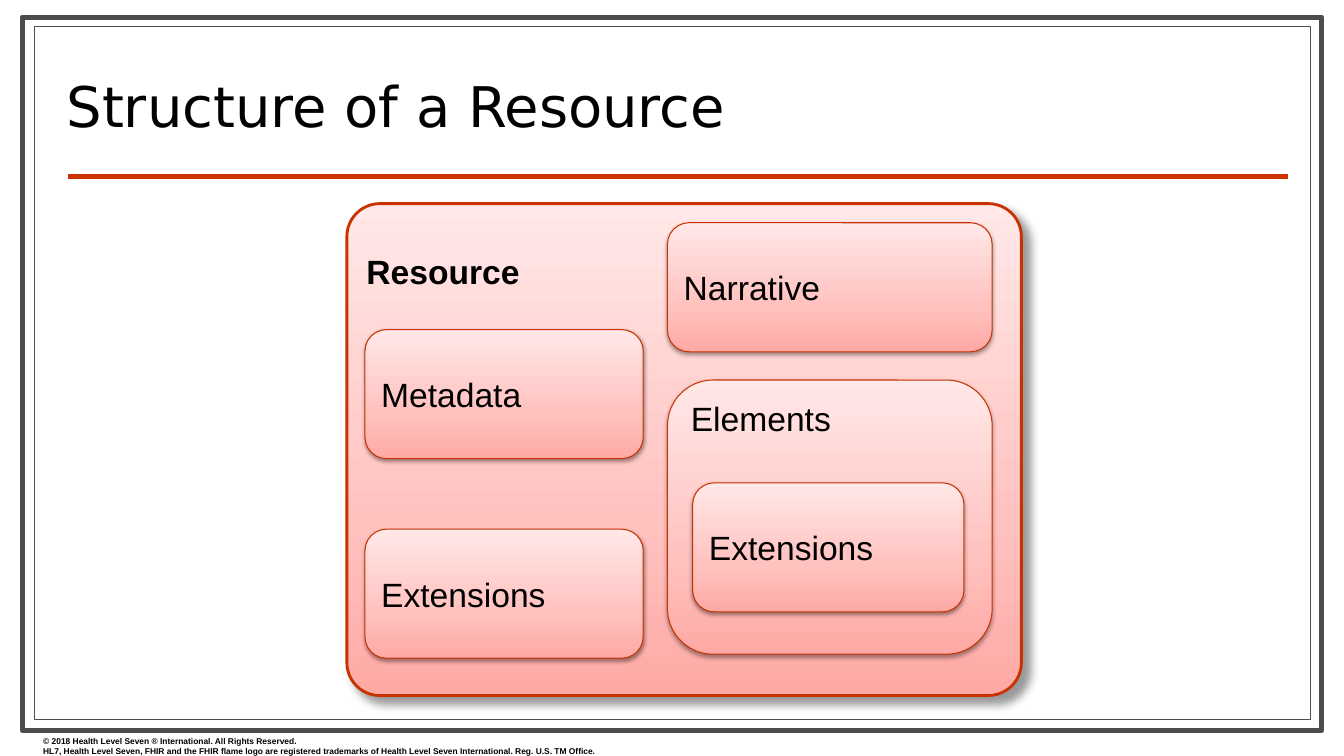
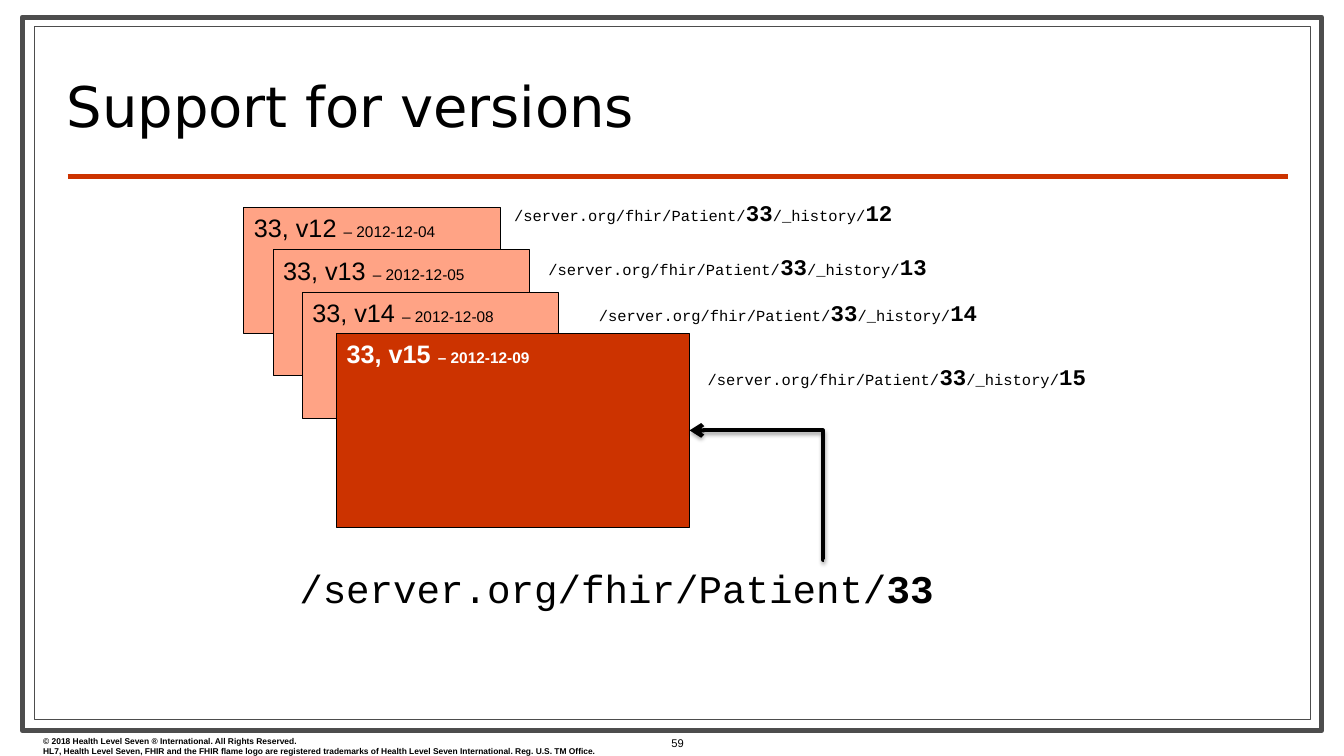
from dataclasses import dataclass

import lxml.etree
import pptx
import pptx.dml.color
import pptx.enum.shapes
import pptx.enum.text
import pptx.oxml
import pptx.oxml.ns
import pptx.util

Inches = pptx.util.Inches
Pt = pptx.util.Pt
RGB = pptx.dml.color.RGBColor.from_string
MSO_SHAPE = pptx.enum.shapes.MSO_SHAPE
MSO_CONNECTOR = pptx.enum.shapes.MSO_CONNECTOR
MSO_ANCHOR = pptx.enum.text.MSO_ANCHOR
PP_ALIGN = pptx.enum.text.PP_ALIGN
qn = pptx.oxml.ns.qn


@dataclass(frozen=True)
class Theme:
    black: str = "000000"
    white: str = "FFFFFF"
    frame: str = "4D4D4D"
    accent: str = "CC3300"
    outline: str = "C83200"
    old_version: str = "FFA385"
    gradient: tuple = ((0, "FFA9A5"), (35, "FFC2BF"), (100, "FFE8E7"))
    title_font: str = "DejaVu Sans"
    body_font: str = "Arial"
    code_font: str = "Courier New"
    title_size: int = 40
    code_size: int = 28
    box_size: int = 24
    version_size: int = 18
    key_size: int = 16
    detail_size: int = 11
    number_size: int = 8
    footer_size: int = 6


theme = Theme()


def write(shape, paragraphs, color=theme.black, font=theme.body_font, alignment=PP_ALIGN.LEFT, **frame_format):
    frame_format = {"word_wrap": True, "vertical_anchor": MSO_ANCHOR.TOP} | frame_format
    for name, value in frame_format.items():
        setattr(shape.text_frame, name, value)
    for index, runs in enumerate(paragraphs):
        paragraph = shape.text_frame.paragraphs[0] if index == 0 else shape.text_frame.add_paragraph()
        paragraph.alignment = alignment
        for text, size, bold in runs:
            run = paragraph.add_run()
            run.text = text
            for name, value in {"name": font, "size": Pt(size), "bold": bold}.items():
                setattr(run.font, name, value)
            run.font.color.rgb = RGB(color)


def add_effects(shape, shadow=None):
    effects = lxml.etree.SubElement(shape.element.spPr, qn("a:effectLst"))
    if shadow:
        opacity, blur, distance, angle = shadow
        outer = lxml.etree.SubElement(
            effects, qn("a:outerShdw"), blurRad=str(Pt(blur)), dist=str(Pt(distance)),
            dir=str(angle * 60000), algn="ctr", rotWithShape="0")
        shade = lxml.etree.SubElement(outer, qn("a:srgbClr"), val=theme.black)
        lxml.etree.SubElement(shade, qn("a:alpha"), val=str(opacity * 1000))


presentation = pptx.Presentation()
presentation.slide_width = Inches(13.33)
presentation.slide_height = Inches(7.5)
layout = presentation.slide_layouts[5]

for placeholder in list(layout.placeholders):
    if placeholder.placeholder_format.idx:
        placeholder.element.getparent().remove(placeholder.element)
layout_title = layout.placeholders[0]
title_box = {"left": 0.56, "top": 0.52, "width": 10.2, "height": 0.9}
for name, value in title_box.items():
    setattr(layout_title, name, Inches(value))

slides = []
for title in ("Structure of a Resource", "Support for versions"):
    slide = presentation.slides.add_slide(layout)
    write(slide.shapes.title, [[(title, theme.title_size, False)]], font=theme.title_font,
          vertical_anchor=MSO_ANCHOR.BOTTOM, auto_size=pptx.enum.text.MSO_AUTO_SIZE.NONE)
    slide.shapes.title.text_frame.paragraphs[0].line_spacing = 0.8
    slides.append(slide)
structure, versions = slides

shared = []
for box, width in (((0.22, 0.17, 12.89, 7.08), 3.5), ((0.34, 0.26, 12.66, 6.88), 0.75)):
    border = structure.shapes.add_shape(MSO_SHAPE.RECTANGLE, *map(Inches, box))
    border.fill.solid()
    border.fill.fore_color.rgb = RGB(theme.white)
    border.line.color.rgb = RGB(theme.frame)
    border.line.width = Pt(width)
    add_effects(border)
    shared.append(border)

rule = structure.shapes.add_connector(MSO_CONNECTOR.STRAIGHT, *map(Inches, (0.67, 1.75, 12.77, 1.75)))
rule.line.color.rgb = RGB(theme.accent)
rule.line.width = Pt(3)
add_effects(rule)
shared.append(rule)

footer = structure.shapes.add_textbox(*map(Inches, (0.33, 7.25, 6.44, 0.3)))
footer_lines = (
    "© 2018 Health Level Seven ® International. All Rights Reserved.",
    "HL7, Health Level Seven, FHIR and the FHIR flame logo are registered trademarks of "
    "Health Level Seven International. Reg. U.S. TM Office.",
)
write(footer, [[(line, theme.footer_size, True)] for line in footer_lines])
shared.append(footer)

for position, shape in enumerate(shared, start=2):
    layout.shapes.element.insert(position, shape.element)

soft_shadow = (38, 3.1, 1.6, 90)
middle = {"vertical_anchor": MSO_ANCHOR.MIDDLE}
resource_boxes = (
    ("Resource", (3.44, 2.02, 6.69, 4.88), 0.067, 2, (40, 6, 7, 45), {"margin_top": Inches(0.37)}),
    ("Narrative", (6.62, 2.21, 3.22, 1.28), 0.1667, 0.75, soft_shadow, middle),
    ("Elements", (6.62, 3.77, 3.22, 2.72), 0.1667, 0.75, soft_shadow, {}),
    ("Extensions", (6.87, 4.79, 2.69, 1.28), 0.1667, 0.75, soft_shadow, middle),
    ("Extensions", (3.62, 5.25, 2.76, 1.28), 0.1667, 0.75, soft_shadow, middle),
    ("Metadata", (3.62, 3.27, 2.76, 1.28), 0.1667, 0.75, soft_shadow, middle),
)
for label, box, rounding, line_width, shadow, frame_format in resource_boxes:
    shape = structure.shapes.add_shape(MSO_SHAPE.ROUNDED_RECTANGLE, *map(Inches, box))
    shape.adjustments[0] = rounding
    gradient = lxml.etree.SubElement(shape.element.spPr, qn("a:gradFill"), rotWithShape="1")
    stops = lxml.etree.SubElement(gradient, qn("a:gsLst"))
    for percent, color in theme.gradient:
        stop = lxml.etree.SubElement(stops, qn("a:gs"), pos=str(percent * 1000))
        lxml.etree.SubElement(stop, qn("a:srgbClr"), val=color)
    lxml.etree.SubElement(gradient, qn("a:lin"), ang=str(270 * 60000), scaled="0")
    shape.line.color.rgb = RGB(theme.outline)
    shape.line.width = Pt(line_width)
    add_effects(shape, shadow)
    write(shape, [[(label, theme.box_size, label == "Resource")]], **frame_format)

number = versions.shapes.add_textbox(*map(Inches, (6.33, 7.25, 0.78, 0.25)))
write(number, [[("59", theme.number_size, False)]], alignment=PP_ALIGN.CENTER, **middle)

address = "/server.org/fhir/Patient/"
version_cards = (
    ("12", "2012-12-04", (2.42, 2.06, 2.54, 1.25), (5, 1.93)),
    ("13", "2012-12-05", (2.71, 2.48, 2.54, 1.25), (5.34, 2.46)),
    ("14", "2012-12-08", (3, 2.9, 2.54, 1.25), (5.84, 2.92)),
    ("15", "2012-12-09", (3.34, 3.31, 3.5, 1.92), (6.92, 3.55)),
)
for version, date, box, address_corner in version_cards:
    current = version == "15"
    card = versions.shapes.add_shape(MSO_SHAPE.RECTANGLE, *map(Inches, box))
    card.fill.solid()
    card.fill.fore_color.rgb = RGB(theme.accent if current else theme.old_version)
    card.line.color.rgb = RGB(theme.black)
    card.line.width = Pt(0.75)
    add_effects(card)
    write(card, [[(f"33, v{version} ", theme.version_size, current), (f"– {date}", theme.detail_size, current)]],
          color=theme.white if current else theme.black)
    history = versions.shapes.add_textbox(*map(Inches, (*address_corner, 4.75, 0.37)))
    write(history, [[(address, theme.detail_size, False), ("33", theme.key_size, True),
                     ("/_history/", theme.detail_size, False), (version, theme.key_size, True)]],
          font=theme.code_font)

resource_address = versions.shapes.add_textbox(*map(Inches, (2.87, 5.55, 6.88, 0.57)))
write(resource_address, [[(address, theme.code_size, False), ("33", theme.code_size, True)]], font=theme.code_font)

arrow = versions.shapes.add_connector(MSO_CONNECTOR.ELBOW, *map(Inches, (8.17, 5.55, 6.84, 4.27)))
arrow.end_connect(card, 3)
arrow.line.color.rgb = RGB(theme.black)
arrow.line.width = Pt(3)
lxml.etree.SubElement(arrow.line._get_or_add_ln(), qn("a:tailEnd"), type="arrow")
geometry = arrow.element.spPr.find(qn("a:prstGeom"))
adjustments = geometry.find(qn("a:avLst"))
lxml.etree.SubElement(adjustments, qn("a:gd"), name="adj1", fmla="val 800")
add_effects(arrow, (35, 3.1, 1.8, 90))

presentation.save("out.pptx")
